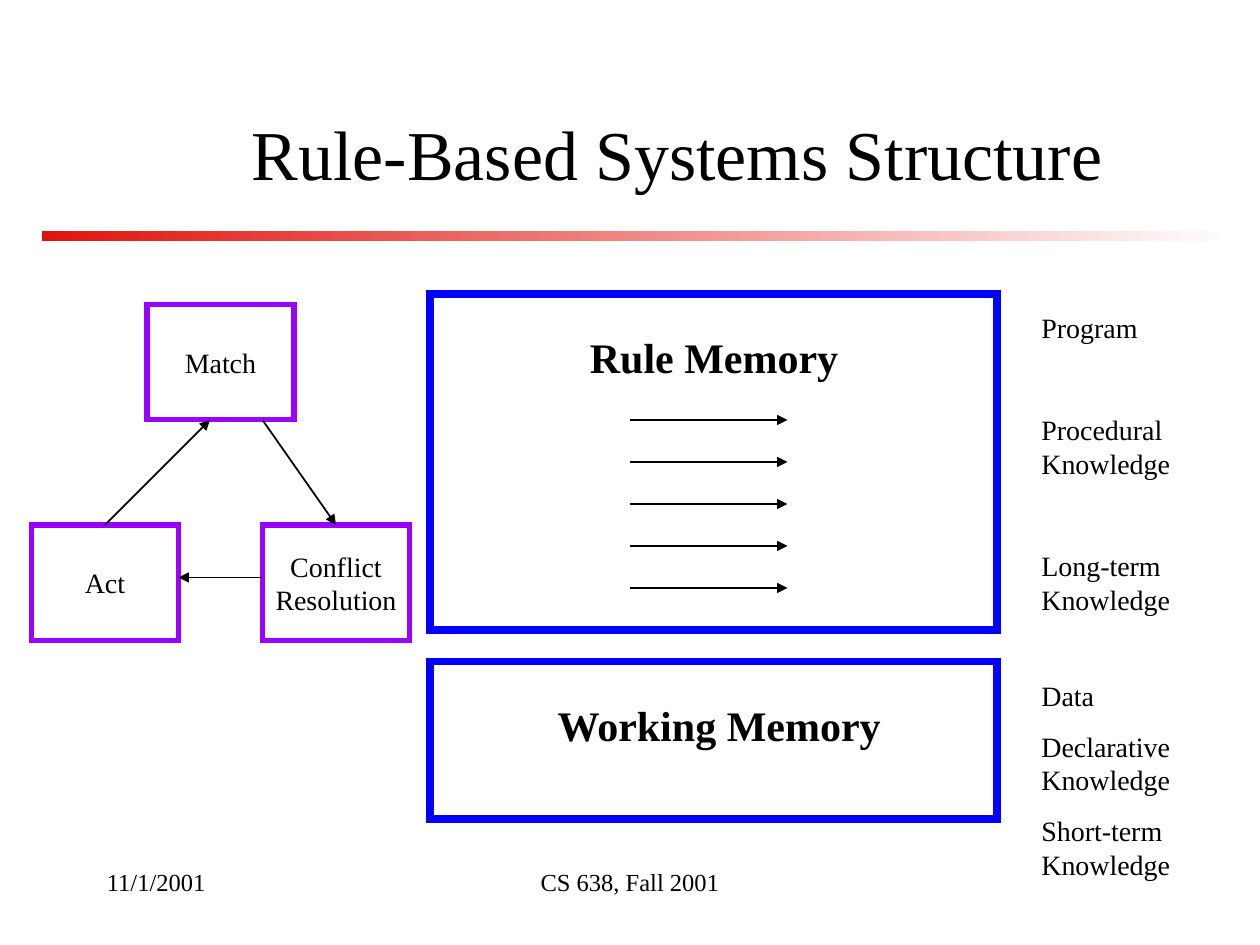
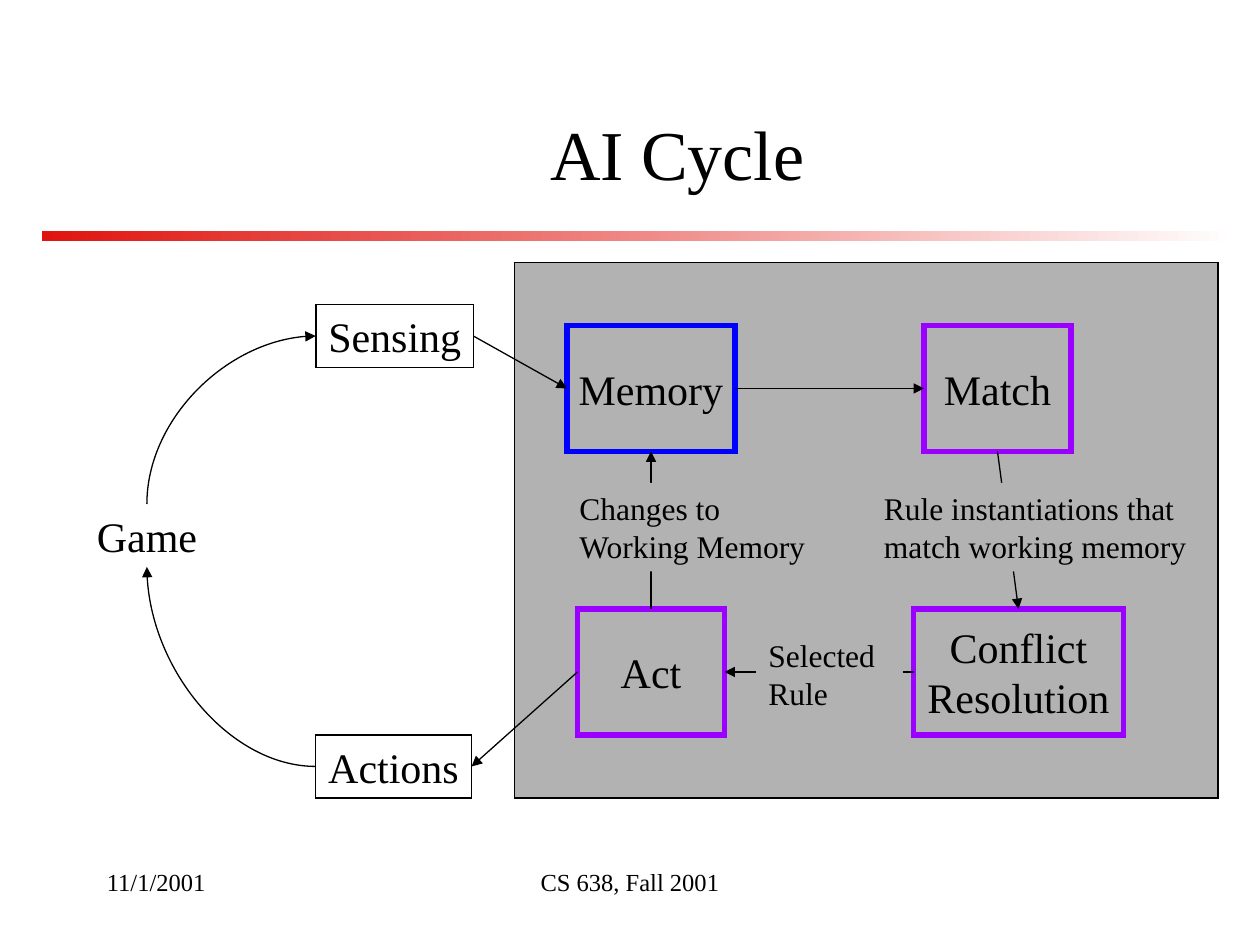
from lxml import etree
from pptx import Presentation
from pptx.dml.color import RGBColor
from pptx.enum import shapes, text
from pptx.oxml.ns import qn
from pptx.util import Pt

HUE = {"ink": "000000", "rule": "DF140F", "page": "FFFFFF",
       "store": "0000FF", "step": "9900FF", "panel": "B2B2B2"}
HUE = {name: RGBColor.from_string(code) for name, code in HUE.items()}
FONT = "Times New Roman"
LEFT, MID = text.PP_ALIGN.LEFT, text.PP_ALIGN.CENTER
TOP, HALF = text.MSO_ANCHOR.TOP, text.MSO_ANCHOR.MIDDLE
RECT = shapes.MSO_SHAPE.RECTANGLE


def box(slide, words, at, shape=None, fill=None, line=None, width=0.75,
        size=16, bold=False, align=LEFT, anchor=TOP, wrap=True, gap=0):
    """Put text in a given shape, a framed or filled box, or a plain text box."""
    spot = [Pt(v) for v in at]
    if shape is not None:
        shape.left, shape.top, shape.width, shape.height = spot
    elif fill or line:
        shape = slide.shapes.add_shape(RECT, *spot)
        shape.shadow.inherit = False
        if fill:
            shape.fill.solid()
            shape.fill.fore_color.rgb = HUE[fill]
        else:
            shape.fill.background()
        if line:
            shape.line.color.rgb = HUE[line]
            shape.line.width = Pt(width)
            edge = shape._element.spPr.find(qn("a:ln"))
            etree.SubElement(edge, qn("a:miter"), lim="800000")
        else:
            shape.line.fill.background()
    else:
        shape = slide.shapes.add_textbox(*spot)
    frame = shape.text_frame
    frame.text = words
    frame.word_wrap = wrap
    frame.vertical_anchor = anchor
    for para in frame.paragraphs:
        para.alignment = align
        para.space_before = Pt(gap)
        font = para.font
        font.name, font.size, font.bold = FONT, Pt(size), bold
        font.color.rgb = HUE["ink"]
    return shape


def link(slide, start, end, width=0.75, curve=False, tip="tailEnd"):
    """Draw an arrow; each end is a point (x, y) or a pair (shape, side)."""
    kind = shapes.MSO_CONNECTOR.CURVE if curve else shapes.MSO_CONNECTOR.STRAIGHT
    spots = [(Pt(a), Pt(b)) if isinstance(a, (int, float)) else (0, 0)
             for a, b in (start, end)]
    arrow = slide.shapes.add_connector(kind, *spots[0], *spots[1])
    for (a, b), join in ((start, arrow.begin_connect), (end, arrow.end_connect)):
        if not isinstance(a, (int, float)):
            join(a, b)
    arrow.line.color.rgb = HUE["ink"]
    arrow.line.width = Pt(width)
    props = arrow._element.spPr
    if curve:
        props.prstGeom.set("prst", "curvedConnector2")
    etree.SubElement(props.find(qn("a:ln")), qn("a:" + tip), type="triangle")
    etree.SubElement(props, qn("a:effectLst"))


deck = Presentation()
deck.slide_width, deck.slide_height = Pt(720), Pt(540)

# Shared title, rule and footers
pages = []
for name in ("Rule-Based Systems Structure", "AI Cycle"):
    page = deck.slides.add_slide(deck.slide_layouts[5])
    box(page, name, (96, 48, 582, 78), shape=page.shapes.title,
        size=40, align=MID, anchor=HALF)
    rule = page.shapes.add_shape(RECT, Pt(24), Pt(132), Pt(684), Pt(6))
    rule.shadow.inherit = False
    rule.line.fill.background()
    rule.fill.gradient()
    rule.fill.gradient_angle = 0
    for stop, hue in zip(rule.fill.gradient_stops, ("rule", "page")):
        stop.color.rgb = HUE[hue]
    box(page, "CS 638, Fall 2001", (246, 492, 228, 36), size=14, align=MID)
    box(page, "11/1/2001", (54, 492, 150, 36), size=14)
    pages.append(page)
frame, cycle = pages

# Slide 1: the two memories
for words, top, high, at in (
        ("Rule Memory", 168, 192, (276, 186, 264, 36)),
        ("Working Memory", 378, 90, (228, 396, 366, 36))):
    box(frame, "", (246, top, 324, high), line="store", width=4.5)
    box(frame, words, at, size=24, bold=True, align=MID, gap=15)
for i in range(5):
    y = 240 + 24 * i
    link(frame, (360, y), (450, y), width=1)

box(frame, "Program\nProcedural Knowledge\nLong-term Knowledge",
    (588, 174, 90, 181), gap=39.2)
box(frame, "Data\nDeclarative Knowledge\nShort-term Knowledge",
    (588, 384, 90, 123), gap=10)

# Slide 1: the rule loop
step = dict(line="step", width=3, align=MID, anchor=HALF, wrap=False)
match, solve, act = [
    box(frame, words, (x, y, 84, 66), **step)
    for words, x, y in (("Match", 84, 174), ("Conflict\nResolution", 150, 300),
                        ("Act", 18, 300))]
link(frame, (150, 240), (solve, 0), width=1)
link(frame, (150, 330), (102, 330), width=1)
link(frame, (act, 0), (120, 240), width=1)

# Slide 2: steps inside the panel
box(cycle, "", (294, 150, 402, 306), fill="panel", line="ink")
step["size"] = 24
match, solve, act, store = [
    box(cycle, words, (x, y, wide, 72), **{**step, "line": hue})
    for words, x, y, wide, hue in (
        ("Match", 528, 186, 84, "step"),
        ("Conflict\nResolution", 522, 348, 120, "step"),
        ("Act", 330, 348, 84, "step"),
        ("Memory", 324, 186, 96, "store"))]

# Slide 2: the game outside
sense, move = [
    box(cycle, words, (180.5, y, wide, 36), line="ink", size=24, wrap=False)
    for words, y, wide in (("Sensing", 174, 90), ("Actions", 420, 89))]
game = box(cycle, "Game", (47, 288, 74, 36), size=24, align=MID, wrap=False)

for start, end in (((match, 2), (solve, 0)), ((solve, 1), (act, 3)),
                   ((act, 0), (store, 2)), ((store, 3), (match, 1)),
                   ((act, 1), (move, 3)), ((sense, 3), (store, 1))):
    link(cycle, start, end)
link(cycle, (sense, 1), (game, 0), curve=True, tip="headEnd")
link(cycle, (move, 1), (game, 2), curve=True)

# Labels lie over the arrows
for words, x, y, wide in (
        ("Rule instantiations that match working memory", 498, 276, 192),
        ("Selected Rule", 432, 360, 84),
        ("Changes to Working Memory", 324, 276, 156)):
    box(cycle, words, (x, y, wide, 50.5), fill="panel", size=18, gap=11.2)

deck.save("out.pptx")
